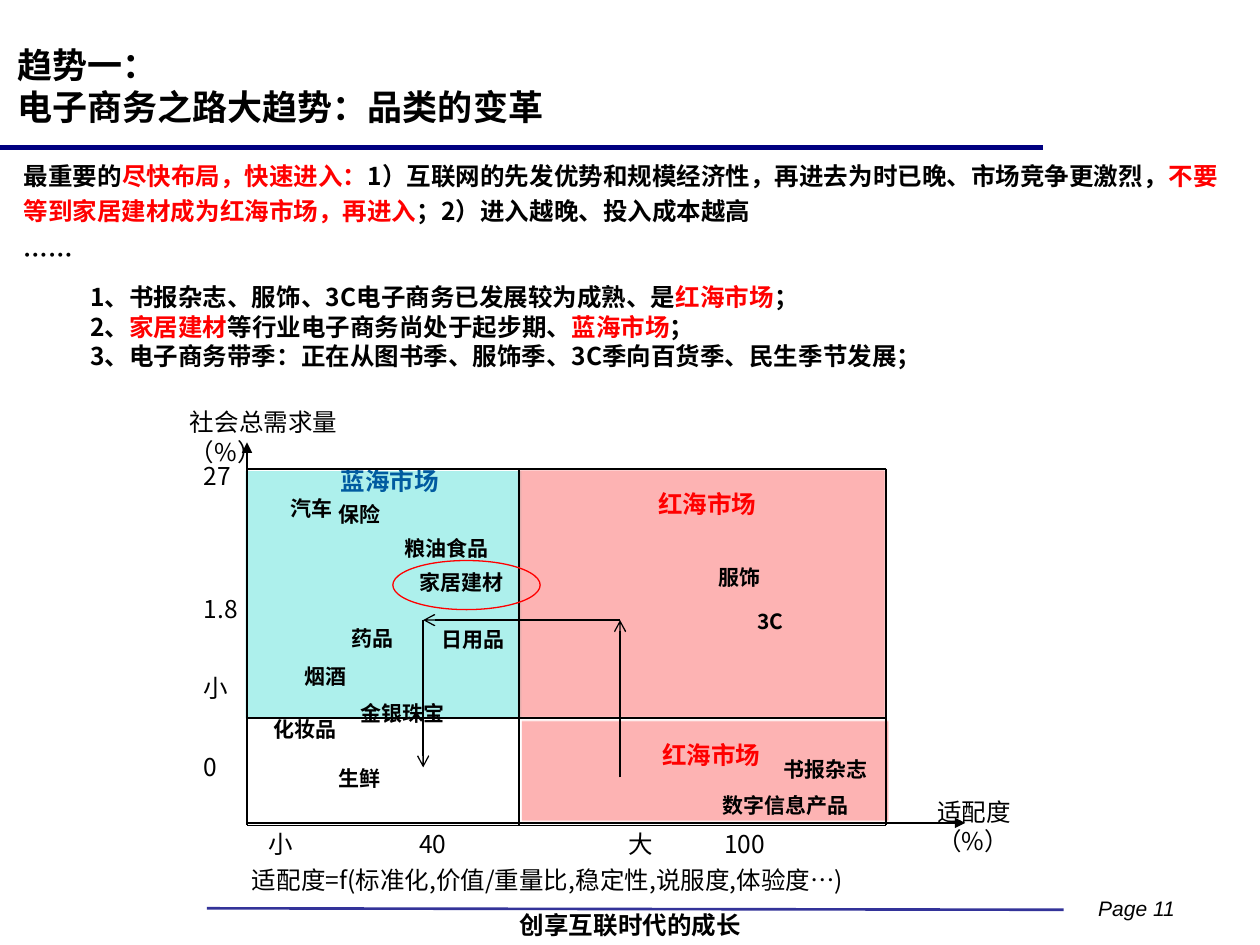
from itertools import pairwise

from lxml.etree import SubElement
from pptx import Presentation
from pptx.dml.color import RGBColor
from pptx.enum.shapes import MSO_CONNECTOR, MSO_SHAPE
from pptx.enum.text import MSO_ANCHOR, PP_ALIGN
from pptx.oxml.ns import qn
from pptx.util import Cm, Pt

BLACK, RED, BLUE = "000000", "FF0000", "005BA0"
RED_SEA, BLUE_SEA = "FD9393", "4BDED7"
SANS = "Noto Sans CJK SC"


def color(hex_value):
    return RGBColor.from_string(hex_value)


def write(shape, paragraphs, size=14, font=SANS, ink=BLACK, bold=False, italic=False,
          align=PP_ALIGN.LEFT, anchor=MSO_ANCHOR.TOP, wrap=True, spacing=(None,),
          insets=(0.25, 0.13, 0.25, 0.13)):
    """Each paragraph is a string or a list of strings and (string, colour) pairs."""
    frame = shape.text_frame
    frame.word_wrap = wrap
    frame.vertical_anchor = anchor
    (frame.margin_left, frame.margin_top,
     frame.margin_right, frame.margin_bottom) = map(Cm, insets)
    if isinstance(paragraphs, str):
        paragraphs = [paragraphs]
    for index, parts in enumerate(paragraphs):
        paragraph = frame.add_paragraph() if index else frame.paragraphs[0]
        paragraph.alignment = align
        paragraph.line_spacing = spacing[index % len(spacing)]
        for part in [parts] if isinstance(parts, str) else parts:
            text, run_ink = (part, ink) if isinstance(part, str) else part
            for number, line in enumerate(text.split("\n")):
                if number:
                    paragraph.add_line_break()
                run = paragraph.add_run()
                run.text = line
                run.font.size = Pt(size)
                run.font.name = font
                run.font.bold = bold
                run.font.italic = italic
                run.font.color.rgb = color(run_ink)
                SubElement(run.font._element, qn("a:ea"), typeface=font)


class SlideBuilder:
    def __init__(self, slide):
        self.shapes = slide.shapes

    def text(self, box, paragraphs, **style):
        shape = self.shapes.add_textbox(*map(Cm, box))
        write(shape, paragraphs, **style)

    def shape(self, kind, box, fill=None, opacity=100, line=None):
        shape = self.shapes.add_shape(kind, *map(Cm, box))
        shape.shadow.inherit = False
        if fill:
            shape.fill.solid()
            shape.fill.fore_color.rgb = color(fill)
            solid = shape.fill._xPr.find(qn("a:solidFill"))
            SubElement(solid[0], qn("a:alpha"), val=str(opacity * 1000))
        else:
            shape.fill.background()
        if line:
            shape.line.color.rgb = color(line)
            shape.line.width = Pt(0.75)
        else:
            shape.line.fill.background()
        return shape

    def zone(self, box, fill, title="", ink=RED, top=0):
        shape = self.shape(MSO_SHAPE.RECTANGLE, box, fill, opacity=45)
        if title:
            write(shape, title, ink=ink, bold=True, align=PP_ALIGN.CENTER,
                  spacing=(Pt(14),), insets=(0.25, top, 0, 0))

    def category(self, name, *box):
        shape = self.shape(MSO_SHAPE.OVAL, box)
        write(shape, name, size=12, bold=True, anchor=MSO_ANCHOR.MIDDLE, wrap=False)

    def line(self, start, end, ink=BLACK, width=1, tail=None):
        connector = self.shapes.add_connector(
            MSO_CONNECTOR.STRAIGHT, *map(Cm, (*start, *end)))
        connector.line.color.rgb = color(ink)
        connector.line.width = Pt(width)
        if tail:
            SubElement(connector.line._get_or_add_ln(), qn("a:tailEnd"), type=tail)
        SubElement(connector._element.spPr, qn("a:effectLst"))

    def axes(self, points):
        first, *rest = [(Cm(x), Cm(y)) for x, y in points]
        builder = self.shapes.build_freeform(*first)
        builder.add_line_segments(rest, close=False)
        shape = builder.convert_to_shape()
        shape.shadow.inherit = False
        shape.fill.background()
        shape.line.color.rgb = color(BLACK)
        shape.line.width = Pt(0.75)
        for end in ("a:headEnd", "a:tailEnd"):
            SubElement(shape.line._get_or_add_ln(), qn(end), type="triangle")


def main():
    presentation = Presentation()
    presentation.slide_width, presentation.slide_height = Cm(25.4), Cm(19.05)
    builder = SlideBuilder(presentation.slides.add_slide(presentation.slide_layouts[6]))

    # Title and footer
    builder.line((0, 2.97), (21.03, 2.97), "000080", 2.5)
    builder.line((4.17, 18.31), (21.44, 18.34), "333399", 1.5)
    builder.text((10.21, 18.21, 5, 0.86), "创享互联时代的成长", bold=True,
                 align=PP_ALIGN.CENTER, wrap=False)
    builder.text((21.89, 17.93, 2.26, 0.76), "Page 11", size=12, font="Arial",
                 italic=True, wrap=False)
    builder.text((0.1, 0.71, 20.02, 2.01), "趋势一：\n电子商务之路大趋势：品类的变革",
                 size=20, bold=True, anchor=MSO_ANCHOR.MIDDLE)

    # Market zones
    builder.zone((4.95, 9.5, 5.56, 4.98), BLUE_SEA, "蓝海市场", BLUE)
    builder.zone((10.52, 14.55, 7.39, 1.98), RED_SEA)
    builder.zone((10.46, 9.5, 7.39, 4.98), RED_SEA)
    builder.zone((10.52, 14.53, 7.39, 2.03), RED_SEA, "红海市场", top=0.49)
    builder.zone((10.44, 9.47, 7.39, 4.98), RED_SEA, "红海市场", top=0.49)

    # Message and numbered points
    builder.text((0.23, 3, 24.97, 2.59), [
        ["最重要的", ("尽快布局，快速进入：", RED),
         "1）互联网的先发优势和规模经济性，再进去为时已晚、市场竞争更激烈，",
         ("不要等到家居建材成为红海市场，再进入", RED), "；2）进入越晚、投入成本越高"],
        "……"], bold=True, spacing=(1.2, 1.5))
    builder.text((1.57, 5.56, 18.06, 2.06), [
        ["1、书报杂志、服饰、3C电子商务已发展较为成熟、是", ("红海市场", RED), "；"],
        ["2、", ("家居建材", RED), "等行业电子商务尚处于起步期、", ("蓝海市场", RED), "；"],
        "3、电子商务带季：正在从图书季、服饰季、3C季向百货季、民生季节发展；"], bold=True)

    # Axes and grid
    columns, rows = (4.98, 10.46, 17.86), (9.45, 14.48, 16.64)
    builder.axes([(columns[0], 8.92), (columns[0], 16.59), (19.46, 16.59)])
    for y in rows:
        builder.line((columns[0], y), (columns[-1], y))
    for x in columns:
        builder.line((x, rows[0]), (x, rows[-1]))

    # Axis labels
    builder.text((3.58, 8.08, 4.95, 1.5), "社会总需求量\n（%）", wrap=False)
    builder.text((18.64, 15.93, 3.45, 1.5), "适配度\n（%）", wrap=False)
    for label, top in (("27", 9.17), ("1.8", 11.84), ("小", 13.44), ("0", 15.04)):
        builder.text((3.86, top, 1.5, 0.86), label, wrap=False)
    for label, left in (("小", 5.16), ("40", 8.2), ("大", 12.42), ("100", 14.35)):
        builder.text((left, 16.59, 1.5, 0.86), label, wrap=False)
    builder.text((4.83, 17.3, 14.99, 0.86),
                 "适配度=f(标准化,价值/重量比,稳定性,说服度,体验度…)")

    # Product categories
    for category in (
        ("汽车", 5.31, 9.37, 2.08, 1.75),
        ("服饰", 14, 10.97, 1.6, 1.35),
        ("3C", 14.81, 11.91, 1.45, 1.22),
        ("书报杂志", 15.44, 15.21, 0.71, 0.61),
        ("粮油食品", 7.7, 10.44, 1.45, 1.22),
        ("日用品", 8.48, 12.42, 1.12, 0.94),
        ("保险", 6.27, 9.5, 2.08, 1.75),
        ("药品", 6.65, 12.32, 1.3, 1.07),
        ("生鲜", 6.43, 15.29, 0.97, 0.81),
        ("数字信息产品", 14.17, 15.82, 0.97, 0.81),
        ("化妆品", 5.16, 14.4, 0.71, 0.61),
        ("烟酒", 5.74, 13.21, 1.04, 0.86),
        ("金银珠宝", 6.91, 14.07, 0.71, 0.61),
        ("家居建材", 8, 11.13, 1.45, 1.22),
    ):
        builder.category(*category)

    # Direction of the trend and highlighted category
    for start, end in pairwise([(12.5, 15.67), (12.5, 12.5), (8.53, 12.5), (8.53, 15.47)]):
        builder.line(start, end, width=0.75, tail="arrow")
    builder.shape(MSO_SHAPE.OVAL, (7.92, 11.3, 2.97, 0.99), line=RED)

    presentation.save("out.pptx")


if __name__ == "__main__":
    main()
